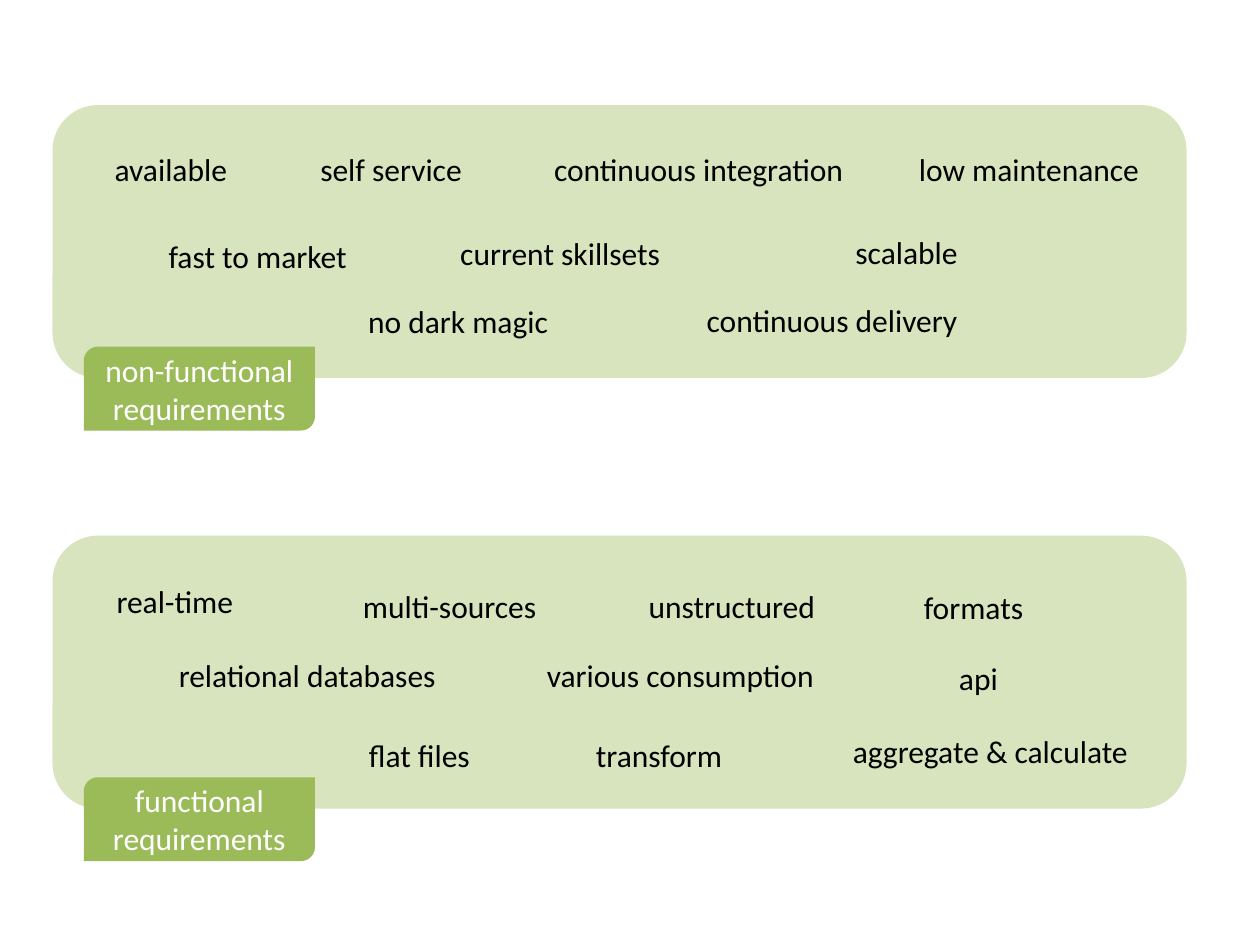
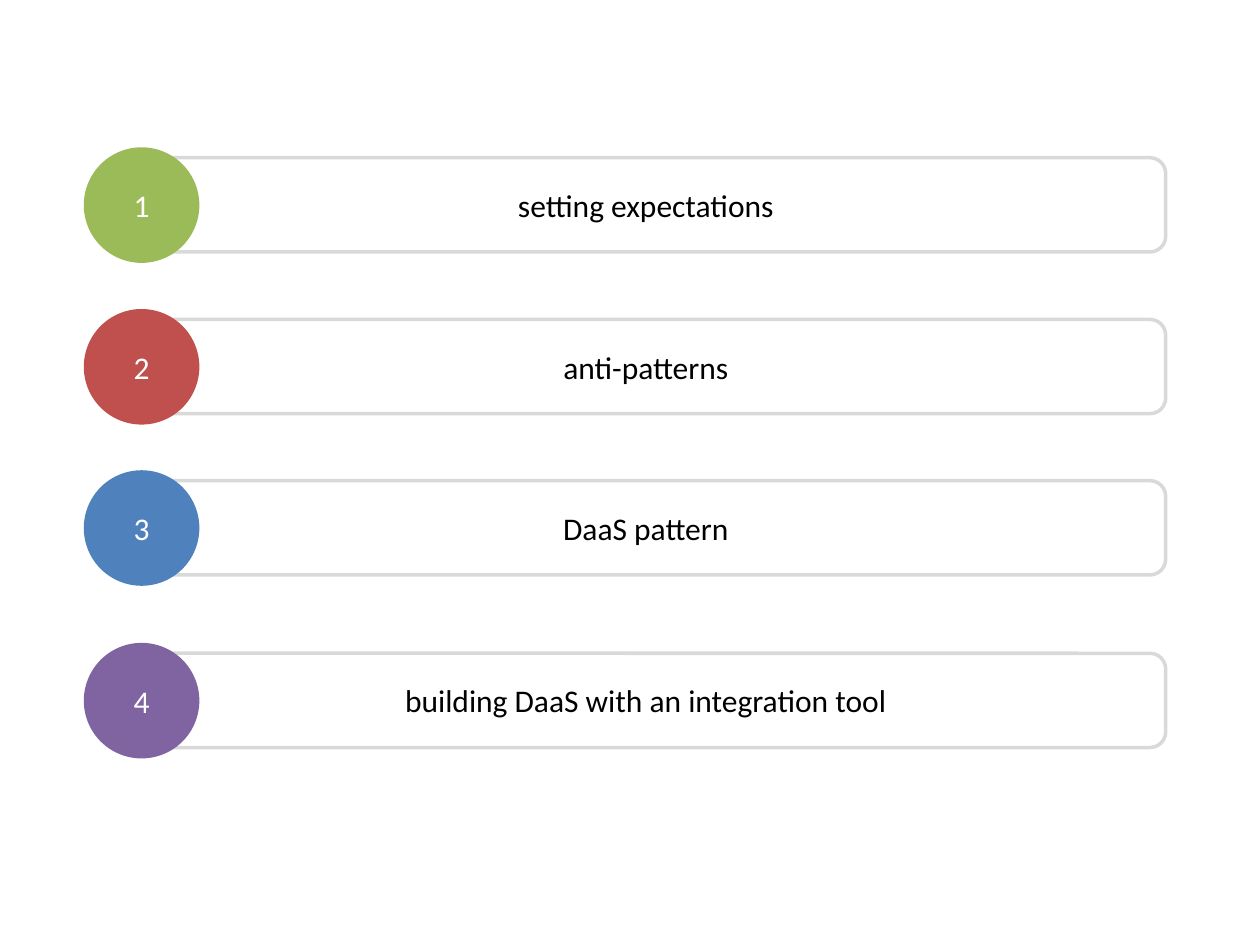
from dataclasses import dataclass

from pptx import Presentation
from pptx.dml.color import RGBColor
from pptx.enum import shapes, text
from pptx.shapes.autoshape import Shape
from pptx.shapes.shapetree import GroupShapes
from pptx.slide import Slide
from pptx.util import Cm, Pt

FONT = "Calibri"
TEXT_SIZE = Pt(18)
BLACK = RGBColor(0x00, 0x00, 0x00)
WHITE = RGBColor(0xFF, 0xFF, 0xFF)
PALE_GREEN = RGBColor(0xD7, 0xE4, 0xBD)
GREEN = RGBColor(0x9B, 0xBB, 0x59)
RED = RGBColor(0xC0, 0x50, 0x4D)
BLUE = RGBColor(0x4F, 0x81, 0xBD)
PURPLE = RGBColor(0x80, 0x64, 0xA2)
GREY = RGBColor(0xD9, 0xD9, 0xD9)

BLANK_LAYOUT = 6
TAG_LEFT = 1.69


@dataclass(frozen=True)
class Box:
    left: float
    top: float
    width: float
    height: float

    def lengths(self) -> tuple[Cm, Cm, Cm, Cm]:
        return Cm(self.left), Cm(self.top), Cm(self.width), Cm(self.height)


@dataclass(frozen=True)
class Keyword:
    wording: str
    left: float
    top: float
    width: float


@dataclass(frozen=True)
class Requirements:
    label: str
    top: float
    keywords: tuple[Keyword, ...]


@dataclass(frozen=True)
class AgendaItem:
    topic: str
    top: float
    color: RGBColor


REQUIREMENTS = (
    Requirements("non-functional requirements", 2.12, (
        Keyword("available", 1.22, 2.9, 4.45),
        Keyword("fast to market", 2.97, 4.65, 4.45),
        Keyword("self service", 5.66, 2.9, 4.45),
        Keyword("current skillsets", 7.8, 4.6, 6.99),
        Keyword("continuous integration", 10.59, 2.9, 6.99),
        Keyword("continuous delivery", 13.28, 5.94, 6.99),
        Keyword("scalable", 14.78, 4.57, 6.99),
        Keyword("no dark magic", 6.35, 5.97, 5.77),
        Keyword("low maintenance", 17.86, 2.9, 5.77),
    )),
    Requirements("functional requirements", 10.8, (
        Keyword("real-time", 1.3, 11.61, 4.45),
        Keyword("multi-sources", 5.94, 11.71, 6.25),
        Keyword("relational databases", 2.41, 13.11, 7.57),
        Keyword("various consumption", 10.59, 13.11, 6.25),
        Keyword("transform", 10.16, 14.71, 6.25),
        Keyword("aggregate & calculate", 16.84, 14.63, 6.25),
        Keyword("flat files", 6.55, 14.71, 3.81),
        Keyword("unstructured", 10.97, 11.71, 7.57),
        Keyword("formats", 17.35, 11.73, 4.55),
        Keyword("api", 17.45, 13.16, 4.55),
    )),
)

AGENDA = (
    AgendaItem("setting expectations", 3.18, GREEN),
    AgendaItem("anti-patterns", 6.44, RED),
    AgendaItem("DaaS pattern", 9.69, BLUE),
    AgendaItem("building DaaS with an integration tool", 13.17, PURPLE),
)


def write(holder: Shape, wording: str, color: RGBColor) -> None:
    frame = holder.text_frame
    frame.text = wording
    frame.word_wrap = True
    paragraph = frame.paragraphs[0]
    paragraph.alignment = text.PP_ALIGN.CENTER
    font = paragraph.runs[0].font
    font.name = FONT
    font.size = TEXT_SIZE
    font.color.rgb = color


def add_filled(group: GroupShapes, preset: shapes.MSO_SHAPE, box: Box,
               color: RGBColor, wording: str = "") -> None:
    filled = group.add_shape(preset, *box.lengths())
    filled.shadow.inherit = False
    filled.fill.solid()
    filled.fill.fore_color.rgb = color
    filled.line.fill.background()
    if wording:
        write(filled, wording, WHITE)


def add_outlined(group: GroupShapes, box: Box, wording: str) -> None:
    bar = group.add_shape(shapes.MSO_SHAPE.ROUNDED_RECTANGLE, *box.lengths())
    bar.shadow.inherit = False
    bar.fill.background()
    bar.line.color.rgb = GREY
    bar.line.width = Pt(2)
    write(bar, wording, BLACK)


def add_keyword(group: GroupShapes, keyword: Keyword) -> None:
    box = Box(keyword.left, keyword.top, keyword.width, 1.03)
    label = group.add_textbox(*box.lengths())
    write(label, keyword.wording, BLACK)
    label.text_frame.auto_size = text.MSO_AUTO_SIZE.SHAPE_TO_FIT_TEXT


def add_requirements(slide: Slide, requirements: Requirements) -> None:
    group = slide.shapes.add_group_shape().shapes
    panel = Box(1.06, requirements.top, 22.86, 5.5)
    tag = Box(TAG_LEFT, requirements.top + 4.87, 4.66, 1.69)
    add_filled(group, shapes.MSO_SHAPE.ROUNDED_RECTANGLE, panel, PALE_GREEN)
    add_filled(group, shapes.MSO_SHAPE.ROUND_2_DIAG_RECTANGLE, tag, GREEN,
               requirements.label)
    for keyword in requirements.keywords:
        add_keyword(group, keyword)


def add_agenda_item(slide: Slide, number: int, item: AgendaItem) -> None:
    group = slide.shapes.add_group_shape().shapes
    add_outlined(group, Box(2.54, item.top, 20.96, 1.9), item.topic)
    badge = Box(TAG_LEFT, item.top - 0.21, 2.33, 2.33)
    add_filled(group, shapes.MSO_SHAPE.OVAL, badge, item.color, str(number))


def main() -> None:
    deck = Presentation()
    deck.slide_width, deck.slide_height = Cm(25.4), Cm(19.05)
    blank = deck.slide_layouts[BLANK_LAYOUT]

    requirements_slide = deck.slides.add_slide(blank)
    for requirements in REQUIREMENTS:
        add_requirements(requirements_slide, requirements)

    agenda_slide = deck.slides.add_slide(blank)
    for number, item in enumerate(AGENDA, start=1):
        add_agenda_item(agenda_slide, number, item)

    deck.save("out.pptx")


if __name__ == "__main__":
    main()
